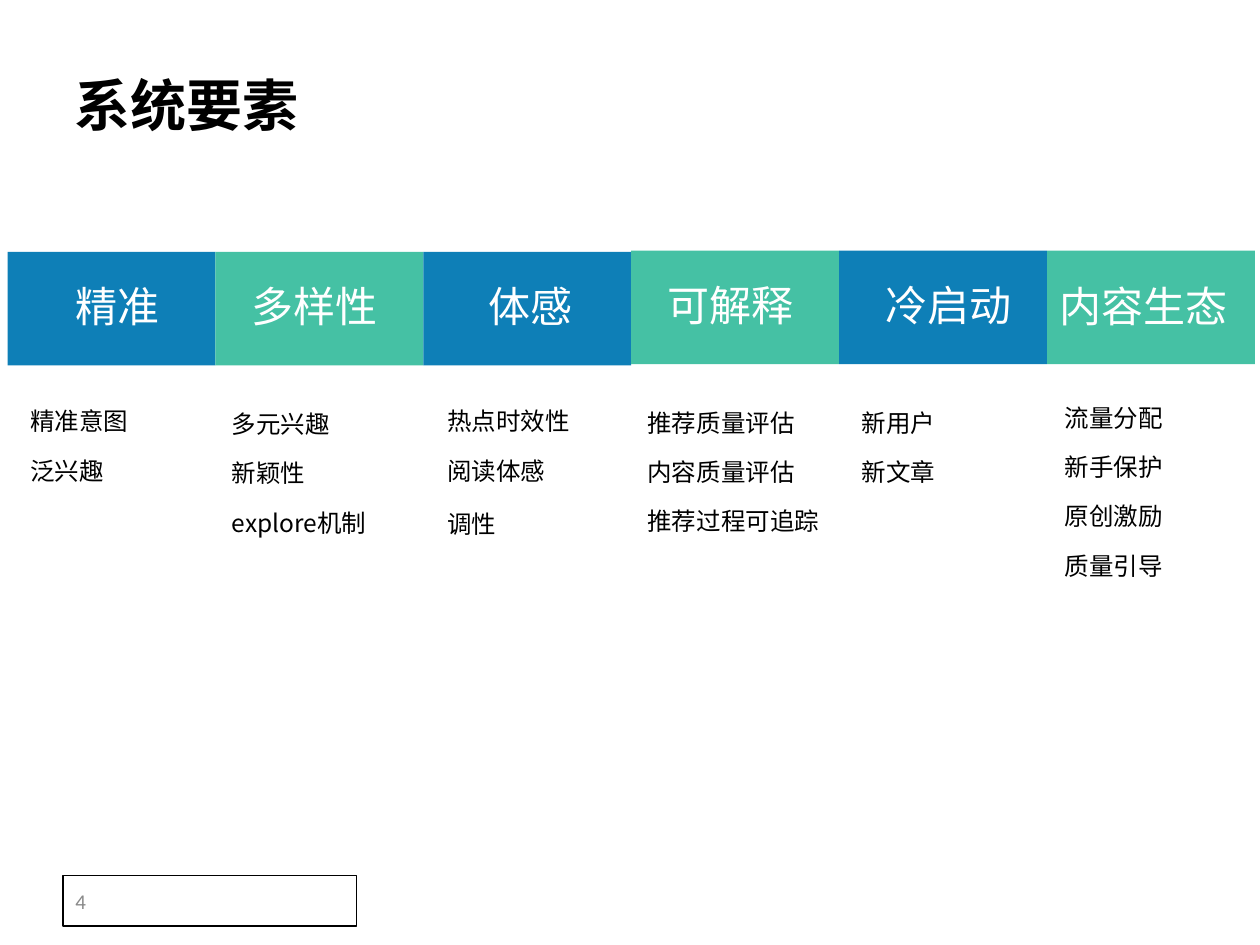
from dataclasses import dataclass
from lxml import etree
from pptx import Presentation
from pptx.dml.color import RGBColor
from pptx.enum import shapes, text
from pptx.oxml import ns
from pptx.util import Inches, Pt


@dataclass(frozen=True)
class Theme:
    blue: RGBColor = RGBColor(0x0E, 0x7F, 0xB7)
    green: RGBColor = RGBColor(0x45, 0xC1, 0xA4)
    black: RGBColor = RGBColor(0, 0, 0)
    white: RGBColor = RGBColor(255, 255, 255)
    grey: RGBColor = RGBColor(0x89, 0x89, 0x89)
    cjk: str = "Noto Sans CJK SC"
    latin: str = "Calibri"
    title: int = 32
    head: int = 24
    body: int = 14
    number: int = 12


T = Theme()
COL_W, HEAD_H = 1.65, 0.9

# Head, top of band, label (left, top, width), list (left, top, width, height), items;
# label and list places are relative to the column's left edge and the band's top
COLUMNS = [
    ("精准", 2, (0.44, 0.18, 0.9), (0.08, 1.06, 1.23, 0.84), ["精准意图", "泛兴趣"]),
    ("多样性", 2, (0.19, 0.18, 1.26), (0.03, 1.08, 1.85, 1.24),
     ["多元兴趣", "新颖性", "explore机制"]),
    ("体感", 2, (0.42, 0.18, 0.9), (0.09, 1.06, 1.34, 1.26),
     ["热点时效性", "阅读体感", "调性"]),
    ("可解释", 1.99, (0.19, 0.18, 1.26), (0.03, 1.08, 1.68, 1.24),
     ["推荐质量评估", "内容质量评估", "推荐过程可追踪"]),
    ("冷启动", 1.99, (0.27, 0.18, 1.26), (0.08, 1.08, 1.11, 0.84), ["新用户", "新文章"]),
    ("内容生态", 1.99, (0, 0.19, 1.54), (0.04, 1.04, 1.11, 1.63),
     ["流量分配", "新手保护", "原创激励", "质量引导"]),
]
WIDER_GAP_AFTER = "阅读体感"


def style(p, size, color, name=T.cjk, bold=False):
    p.font.size = Pt(size)
    p.font.color.rgb = color
    p.font.bold = bold
    p.font.name = name
    ea = etree.Element(ns.qn("a:ea"), typeface=name)
    p.font._element.find(ns.qn("a:latin")).addnext(ea)


def add_rect(s, x, y, w, h, fill):
    sp = s.shapes.add_shape(shapes.MSO_SHAPE.RECTANGLE,
                            Inches(x), Inches(y), Inches(w), Inches(h))
    sp.shadow.inherit = False
    sp.fill.solid()
    sp.fill.fore_color.rgb = fill
    sp.line.fill.background()
    return sp


def add_text(s, x, y, w, h, lines, size, color, bold=False, wrap=True):
    tf = s.shapes.add_textbox(Inches(x), Inches(y), Inches(w), Inches(h)).text_frame
    tf.word_wrap = wrap
    tf.auto_size = text.MSO_AUTO_SIZE.SHAPE_TO_FIT_TEXT
    tf.text = "\n".join(lines)
    for p in tf.paragraphs:
        style(p, size, color, bold=bold)
    return tf


def add_column(s, x, fill, head, y, label, listing, items):
    add_rect(s, x, y, COL_W, HEAD_H, fill)
    dx, dy, w = label
    add_text(s, x + dx, y + dy, w, 0.5, [head], T.head, T.white)
    dx, dy, w, h = listing
    tf = add_text(s, x + dx, y + dy, w, h, items, T.body, T.black)
    for p in tf.paragraphs:
        p.line_spacing = 1.5
        p.space_after = Pt(5 if p.text == WIDER_GAP_AFTER else 3)


def add_number(s, x, y, w, h):
    sp = add_rect(s, x, y, w, h, T.white)
    sp.line.color.rgb = T.black
    sp.line.width = Pt(0.75)
    tf = sp.text_frame
    tf.vertical_anchor = text.MSO_ANCHOR.MIDDLE
    p = tf.paragraphs[0]
    p.text = "4"
    p.alignment = text.PP_ALIGN.LEFT
    style(p, T.number, T.grey, T.latin)


def main():
    prs = Presentation()
    prs.slide_width, prs.slide_height = Inches(10), Inches(7.5)
    s = prs.slides.add_slide(prs.slide_layouts[6])

    # Title
    add_text(s, 0.49, 0.51, 1.98, 0.64, ["系统要素"], T.title, T.black, bold=True, wrap=False)

    # Six columns, alternately blue and green
    for i, column in enumerate(COLUMNS):
        add_column(s, 0.06 + i * COL_W, (T.blue, T.green)[i % 2], *column)

    # Slide number
    add_number(s, 0.5, 6.95, 2.33, 0.4)
    prs.save("out.pptx")


if __name__ == "__main__":
    main()
